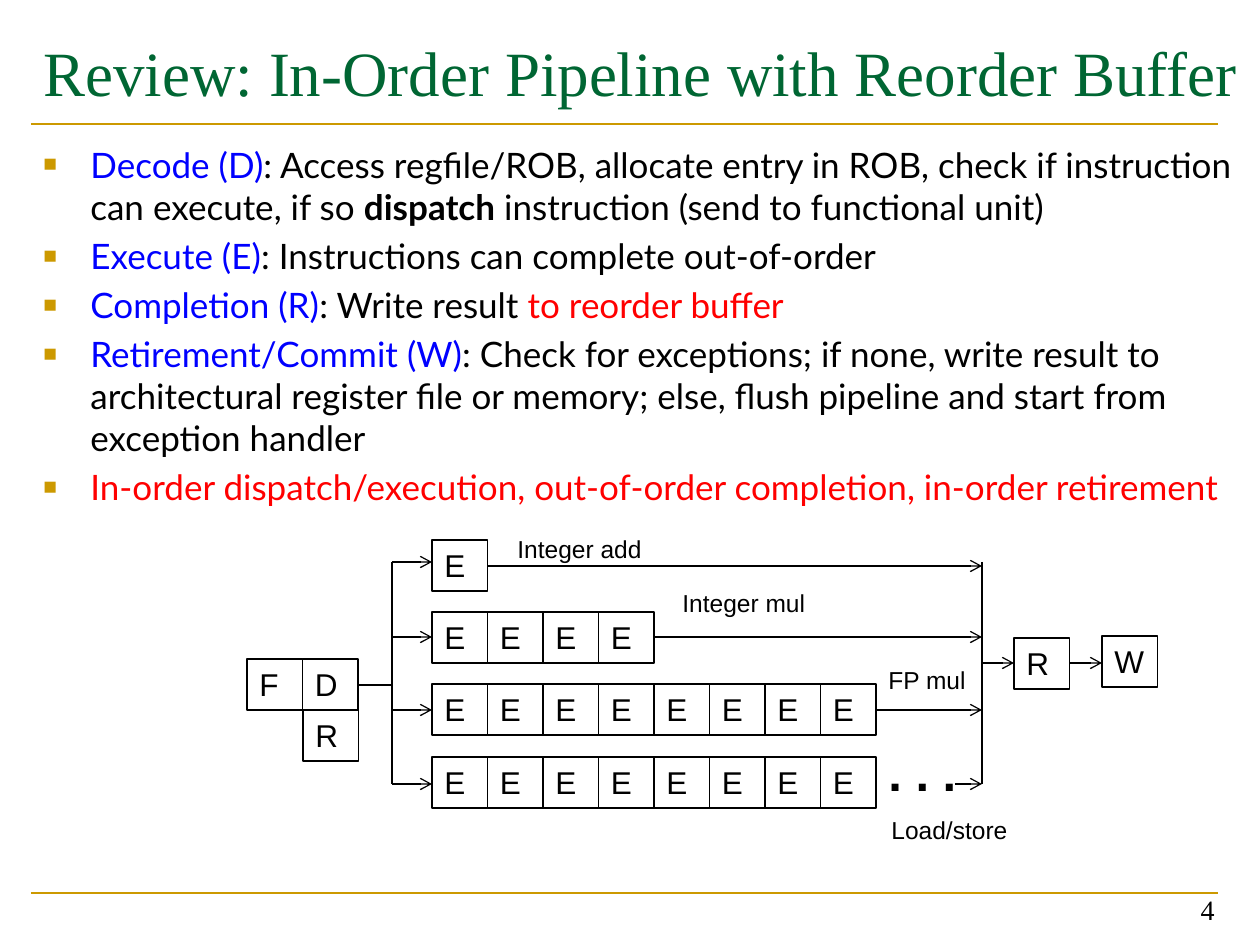
import pptx
import pptx.util
import pptx.dml.color
import pptx.enum.shapes
import pptx.enum.text
import pptx.oxml.ns
from lxml import etree

THEME = {
    "ink": "000000", "paper": "FFFFFF", "title": "006633", "rule": "CC9900",
    "term": "0000FF", "alert": "FF0000",
    "title_font": "Times New Roman", "body_font": "Lato", "diagram_font": "Arial",
    "title_size": 36, "body_size": 20, "cell_size": 18, "label_size": 14,
    "dots_size": 28, "number_size": 16, "bullet_gap": 4,
    "rule_width": 1.5, "line_width": 0.75,
}

TITLE = "Review: In-Order Pipeline with Reorder Buffer"
BULLETS = [  # runs of (text, colour, bold)
    [("Decode (D)", "term", False),
     (": Access regfile/ROB, allocate entry in ROB, check if instruction can execute, if so ",
      "ink", False),
     ("dispatch", "ink", True),
     (" instruction (send to functional unit)", "ink", False)],
    [("Execute (E)", "term", False),
     (": Instructions can complete out-of-order", "ink", False)],
    [("Completion (R)", "term", False), (": Write result ", "ink", False),
     ("to reorder buffer", "alert", False)],
    [("Retirement/Commit (W)", "term", False),
     (": Check for exceptions; if none, write result to architectural register file or memory; "
      "else, flush pipeline and start from exception handler", "ink", False)],
    [("In-order dispatch/execution, out-of-order completion, in-order retirement",
      "alert", False)],
]
STAGE_ROWS = [  # (left, top, one letter per stage)
    (247, 659, "FD"), (303, 710, "R"),
    (432, 540, "E"), (432, 612, "EEEE"), (432, 684, "EEEEEEEE"), (432, 757, "EEEEEEEE"),
    (1014, 638, "R"), (1102, 636, "W"),
]
LABELS = [  # (text, left, top, width)
    ("Integer add", 505, 528, 150), ("Integer mul", 670, 582, 149),
    ("FP mul", 876, 659, 103), ("Load/store", 879, 809, 169),
]
FORK_X, JOIN_X, UNITS_X = 392, 982, 432
BUS_TOP, BUS_BOTTOM = 562, 784
WIRES = [  # (x1, y1, x2, y2)
    (358, 685, FORK_X, 685),
    (FORK_X, BUS_TOP, FORK_X, BUS_BOTTOM), (JOIN_X, BUS_TOP, JOIN_X, BUS_BOTTOM),
]
FORK_ARROWS = [562, 637, 710, 784]
JOIN_ARROWS = [(488, 566), (654, 637), (876, 710), (955, 784)]
RETIRE_ARROWS = [(JOIN_X, 663, 1014, 663), (1070, 663, 1102, 663)]
RULES = [(31, 893, 1218, 893), (31, 124, 1218, 124)]

CELL_PITCH, CELL_HEIGHT = 444 / 8, 51
BULLET_INDENT = 47


def px(value):
    return pptx.util.Emu(round(value * 914400 / 126))


def colour(name):
    return pptx.dml.color.RGBColor.from_string(THEME[name])


def add_run(paragraph, text, font, size, ink="ink", bold=False):
    run = paragraph.add_run()
    run.text = text
    run.font.name = THEME[font]
    run.font.size = pptx.util.Pt(THEME[size])
    run.font.color.rgb = colour(ink)
    run.font.bold = bold


def add_text(slide, left, top, width, height, wrap=True):
    box = slide.shapes.add_textbox(px(left), px(top), px(width), px(height))
    box.text_frame.word_wrap = wrap
    return box.text_frame


def add_line(slide, ends, ink="ink", width="line_width", arrow=False):
    line = slide.shapes.add_connector(
        pptx.enum.shapes.MSO_CONNECTOR.STRAIGHT, *[px(end) for end in ends])
    line.line.color.rgb = colour(ink)
    line.line.width = pptx.util.Pt(THEME[width])
    if arrow:
        etree.SubElement(line.line._get_or_add_ln(),
                         pptx.oxml.ns.qn("a:tailEnd"), type="arrow")
    etree.SubElement(line._element.spPr, pptx.oxml.ns.qn("a:effectLst"))


def add_bullet(paragraph):
    properties = paragraph._p.get_or_add_pPr()
    properties.set("marL", str(px(BULLET_INDENT)))
    properties.set("indent", str(-px(BULLET_INDENT)))
    qn = pptx.oxml.ns.qn
    bullet_colour = etree.SubElement(properties, qn("a:buClr"))
    etree.SubElement(bullet_colour, qn("a:srgbClr"), val=THEME["rule"])
    etree.SubElement(properties, qn("a:buSzPct"), val="65000")
    etree.SubElement(properties, qn("a:buFont"), typeface=THEME["diagram_font"])
    etree.SubElement(properties, qn("a:buChar"), char="■")


def add_title(slide):
    title = slide.shapes.title
    title.left, title.top, title.width, title.height = px(31), px(21), px(1229), px(148)
    frame = title.text_frame
    frame.auto_size = pptx.enum.text.MSO_AUTO_SIZE.NONE
    frame.vertical_anchor = pptx.enum.text.MSO_ANCHOR.TOP
    frame.margin_top = px(13)
    paragraph = frame.paragraphs[0]
    paragraph.alignment = pptx.enum.text.PP_ALIGN.LEFT
    add_run(paragraph, TITLE, "title_font", "title_size", "title")


def add_body(slide):
    frame = add_text(slide, 31, 137, 1229, 716)
    for index, runs in enumerate(BULLETS):
        paragraph = frame.add_paragraph() if index else frame.paragraphs[0]
        add_bullet(paragraph)
        if index:
            paragraph.space_before = pptx.util.Pt(THEME["bullet_gap"])
        for text, ink, bold in runs:
            add_run(paragraph, text, "body_font", "body_size", ink, bold)


def add_stage(slide, left, top, letter):
    cell = slide.shapes.add_shape(pptx.enum.shapes.MSO_SHAPE.RECTANGLE, px(left), px(top),
                                  px(CELL_PITCH), px(CELL_HEIGHT))
    cell.shadow.inherit = False
    cell.fill.solid()
    cell.fill.fore_color.rgb = colour("paper")
    cell.line.color.rgb = colour("ink")
    cell.line.width = pptx.util.Pt(THEME["line_width"])
    cell.text_frame.vertical_anchor = pptx.enum.text.MSO_ANCHOR.TOP
    paragraph = cell.text_frame.paragraphs[0]
    paragraph.alignment = pptx.enum.text.PP_ALIGN.LEFT
    add_run(paragraph, letter, "diagram_font", "cell_size")


def add_pipeline(slide):
    for left, top, letters in STAGE_ROWS:
        for column, letter in enumerate(letters):
            add_stage(slide, left + column * CELL_PITCH, top, letter)
    dots = add_text(slide, 876, 736, 95, 72, wrap=False)
    add_run(dots.paragraphs[0], ". . .", "diagram_font", "dots_size", bold=True)
    for wire in WIRES:
        add_line(slide, wire)
    arrows = [(FORK_X, y, UNITS_X, y) for y in FORK_ARROWS]
    arrows += [(x, y, JOIN_X, y) for x, y in JOIN_ARROWS]
    for arrow in arrows + RETIRE_ARROWS:
        add_line(slide, arrow, arrow=True)
    for text, left, top, width in LABELS:
        frame = add_text(slide, left, top, width, 43, wrap=False)
        add_run(frame.paragraphs[0], text, "diagram_font", "label_size")


def add_slide_number(slide):
    frame = add_text(slide, 934, 869, 293, 63)
    frame.vertical_anchor = pptx.enum.text.MSO_ANCHOR.BOTTOM
    frame.paragraphs[0].alignment = pptx.enum.text.PP_ALIGN.RIGHT
    add_run(frame.paragraphs[0], "4", "title_font", "number_size")


def main():
    presentation = pptx.Presentation()
    presentation.slide_width, presentation.slide_height = px(1260), px(945)
    slide = presentation.slides.add_slide(presentation.slide_layouts[5])
    for rule in RULES:
        add_line(slide, rule, "rule", "rule_width")
    add_title(slide)
    add_body(slide)
    add_slide_number(slide)
    add_pipeline(slide)
    presentation.save("out.pptx")


if __name__ == "__main__":
    main()
